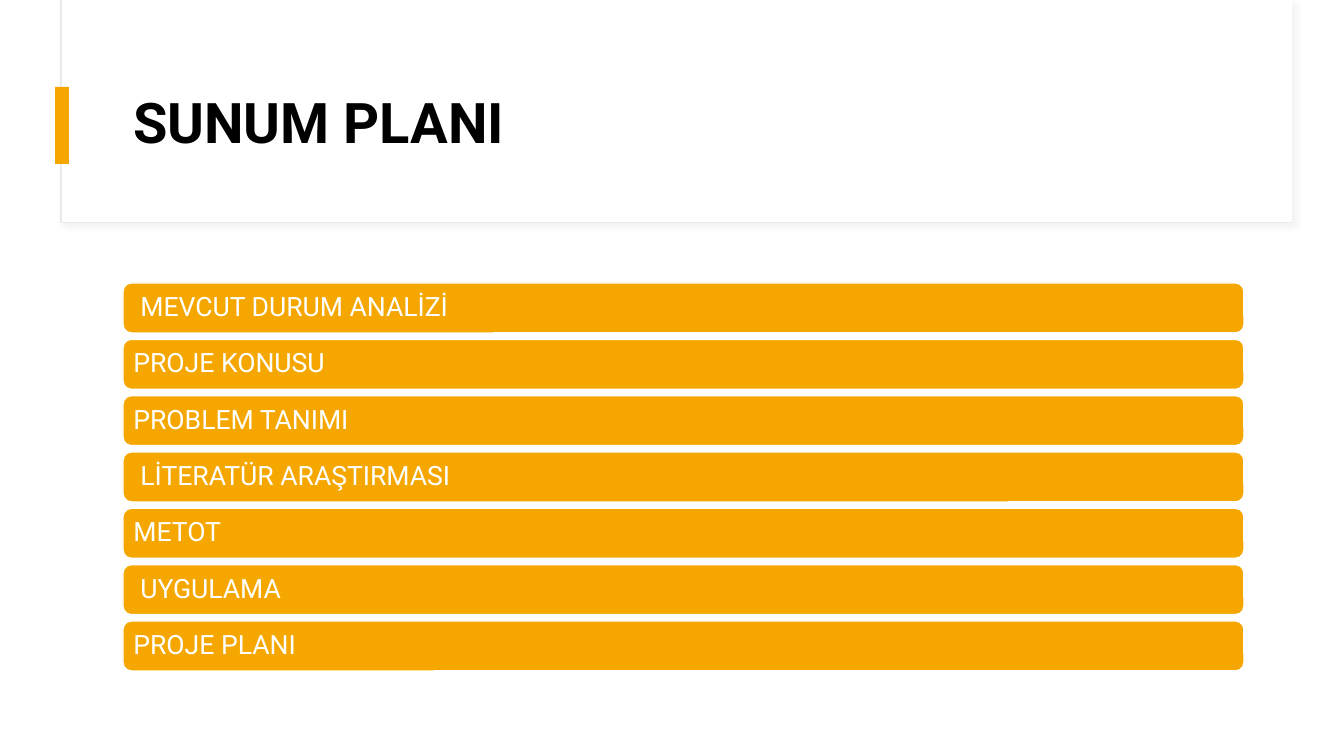
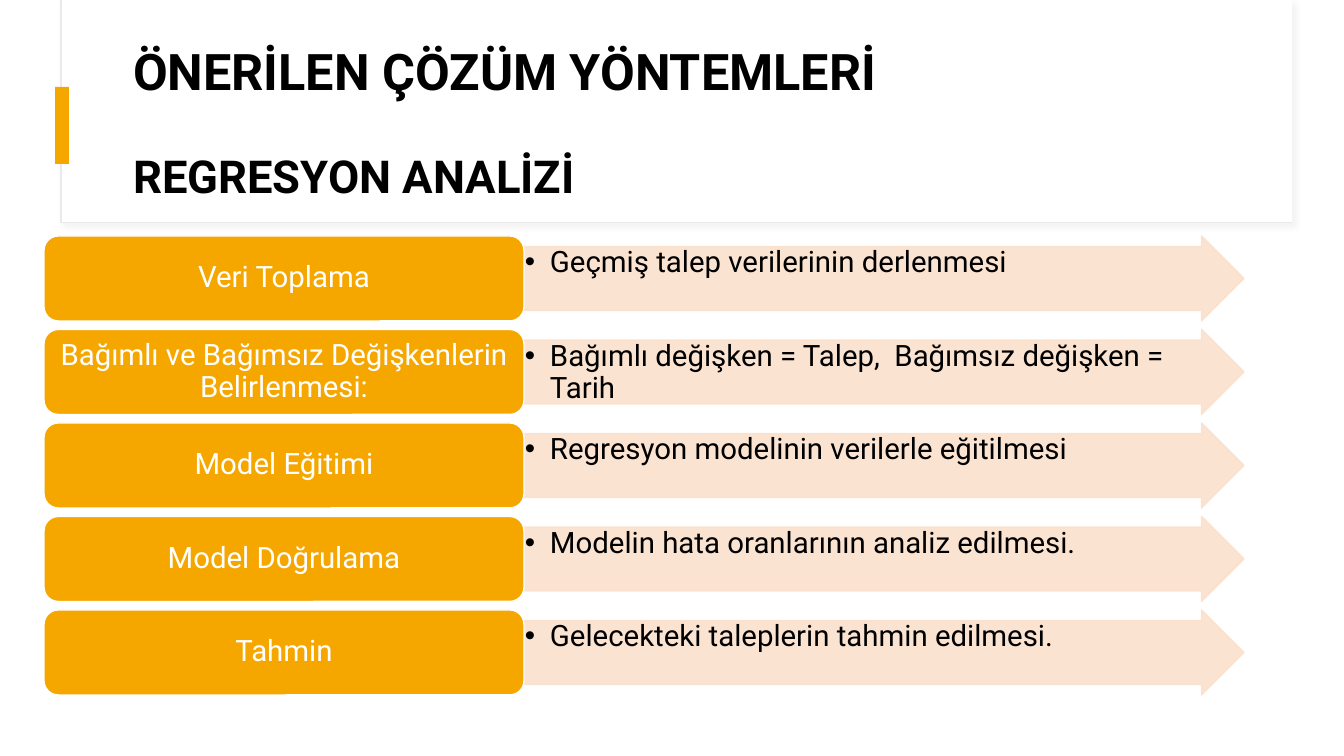
import lxml.etree
import pptx
import pptx.dml.color
import pptx.enum.shapes
import pptx.enum.text
import pptx.oxml.ns
import pptx.util

RGB = pptx.dml.color.RGBColor
WHITE = RGB(0xFF, 0xFF, 0xFF)
BLACK = RGB(0x00, 0x00, 0x00)
GOLD = RGB(0xF5, 0xA7, 0x00)
PEACH = RGB(0xFB, 0xE1, 0xCC)
GREY = RGB(0xE9, 0xE9, 0xE9)
FONT = "Roboto"
PX = 12192000 / 1344
KIND = pptx.enum.shapes.MSO_SHAPE
ALIGN = pptx.enum.text.PP_ALIGN
ANCHOR = pptx.enum.text.MSO_ANCHOR
qn = pptx.oxml.ns.qn
sub = lxml.etree.SubElement


def write(frame, text, size, color=WHITE, bold=False, align=ALIGN.LEFT,
          anchor=ANCHOR.MIDDLE, pad=None, bullet=False, more=False, before=0):
    frame.word_wrap = True
    frame.auto_size = pptx.enum.text.MSO_AUTO_SIZE.NONE
    frame.vertical_anchor = anchor
    if pad:
        frame.margin_left, frame.margin_top, frame.margin_right, frame.margin_bottom = [
            int(side * PX) for side in pad]
    para = frame.add_paragraph() if more else frame.paragraphs[0]
    para.text = text
    para.alignment = align
    para.line_spacing = 0.9
    para.space_before = pptx.util.Pt(before)
    if bullet:
        props = para._p.get_or_add_pPr()
        props.set("marL", str(int(25 * PX)))
        props.set("indent", str(int(-25 * PX)))
        sub(props, qn("a:buFont"), typeface="Arial")
        sub(props, qn("a:buChar"), char="•")
    font = para.runs[0].font
    font.name, font.size, font.bold = FONT, pptx.util.Pt(size), bold
    font.color.rgb = color


def draw(slide, kind, box, fill, line=None, width=1, alpha=None):
    shape = slide.shapes.add_shape(kind, *[int(side * PX) for side in box])
    shape.shadow.inherit = False
    shape.fill.solid()
    shape.fill.fore_color.rgb = fill
    if line is None:
        shape.line.fill.background()
    else:
        shape.line.color.rgb = line
        shape.line.width = pptx.util.Pt(width)
    if alpha:
        for tint in list(shape.element.iter(qn("a:srgbClr"))):
            sub(tint, qn("a:alpha"), val=str(alpha * 1000))
    return shape


deck = pptx.Presentation()
deck.slide_width, deck.slide_height = int(1344 * PX), int(756 * PX)
layout = deck.slide_layouts[5]
title, *extra = layout.placeholders
for item in extra:
    item.element.getparent().remove(item.element)
title.left, title.top, title.width, title.height = [
    int(side * PX) for side in (123, 60, 1121, 130)]

plan = deck.slides.add_slide(layout)
frame = draw(plan, KIND.RECTANGLE, (61, 0, 1231, 223), WHITE, GREY, 0.75)
glow = sub(frame.element.find(".//" + qn("a:effectLst")), qn("a:outerShdw"),
           blurRad="50800", dist="38100", dir="2700000", algn="tl", rotWithShape="0")
tint = sub(glow, qn("a:srgbClr"), val="D9D9D9")
sub(tint, qn("a:alpha"), val="30000")
cover = draw(plan, KIND.RECTANGLE, (62, 0, 1230, 222), WHITE)
mark = draw(plan, KIND.RECTANGLE, (55, 87, 14, 77), GOLD)
for spot, shape in enumerate((frame, cover, mark), 2):
    layout.shapes.element.insert(spot, shape.element)

write(plan.shapes.title.text_frame, "SUNUM PLANI", 40, BLACK, bold=True)
topics = [
    ("MEVCUT DURUM ANALİZİ", 7),
    ("PROJE KONUSU", 0),
    ("PROBLEM TANIMI", 0),
    ("LİTERATÜR ARAŞTIRMASI", 7),
    ("METOT", 0),
    ("UYGULAMA", 7),
    ("PROJE PLANI", 0),
]
step = (621 - 283) / (len(topics) - 1)
for row, (text, shift) in enumerate(topics):
    bar = draw(plan, KIND.ROUNDED_RECTANGLE, (123, 283 + row * step, 1121, 50), GOLD, WHITE)
    write(bar.text_frame, text, 19, pad=(8 + shift, 8, 8, 8))

method = deck.slides.add_slide(layout)
head = method.shapes.title.text_frame
write(head, "ÖNERİLEN ÇÖZÜM YÖNTEMLERİ", 36, BLACK, bold=True)
write(head, "REGRESYON ANALİZİ", 32.4, BLACK, bold=True, more=True, before=38)
stages = [
    ("Veri Toplama", "Geçmiş talep verilerinin derlenmesi"),
    ("Bağımlı ve Bağımsız Değişkenlerin Belirlenmesi:",
     "Bağımlı değişken = Talep,  Bağımsız değişken = Tarih"),
    ("Model Eğitimi", "Regresyon modelinin verilerle eğitilmesi"),
    ("Model Doğrulama", "Modelin hata oranlarının analiz edilmesi."),
    ("Tahmin", "Gelecekteki taleplerin tahmin edilmesi."),
]
step = (610 - 236) / (len(stages) - 1)
for row, (name, text) in enumerate(stages):
    top = 236 + row * step
    arrow = draw(method, KIND.RIGHT_ARROW, (524, top, 720, 85), PEACH, PEACH, alpha=90)
    arrow.adjustments[0], arrow.adjustments[1] = 0.75, 0.5
    write(arrow.text_frame, text, 21, BLACK, anchor=ANCHOR.TOP, pad=(1, 1, 1, 1), bullet=True)
    card = draw(method, KIND.ROUNDED_RECTANGLE, (44, top, 480, 85), GOLD, WHITE)
    write(card.text_frame, name, 21, align=ALIGN.CENTER, pad=(9, 4, 9, 4))

deck.save("out.pptx")
